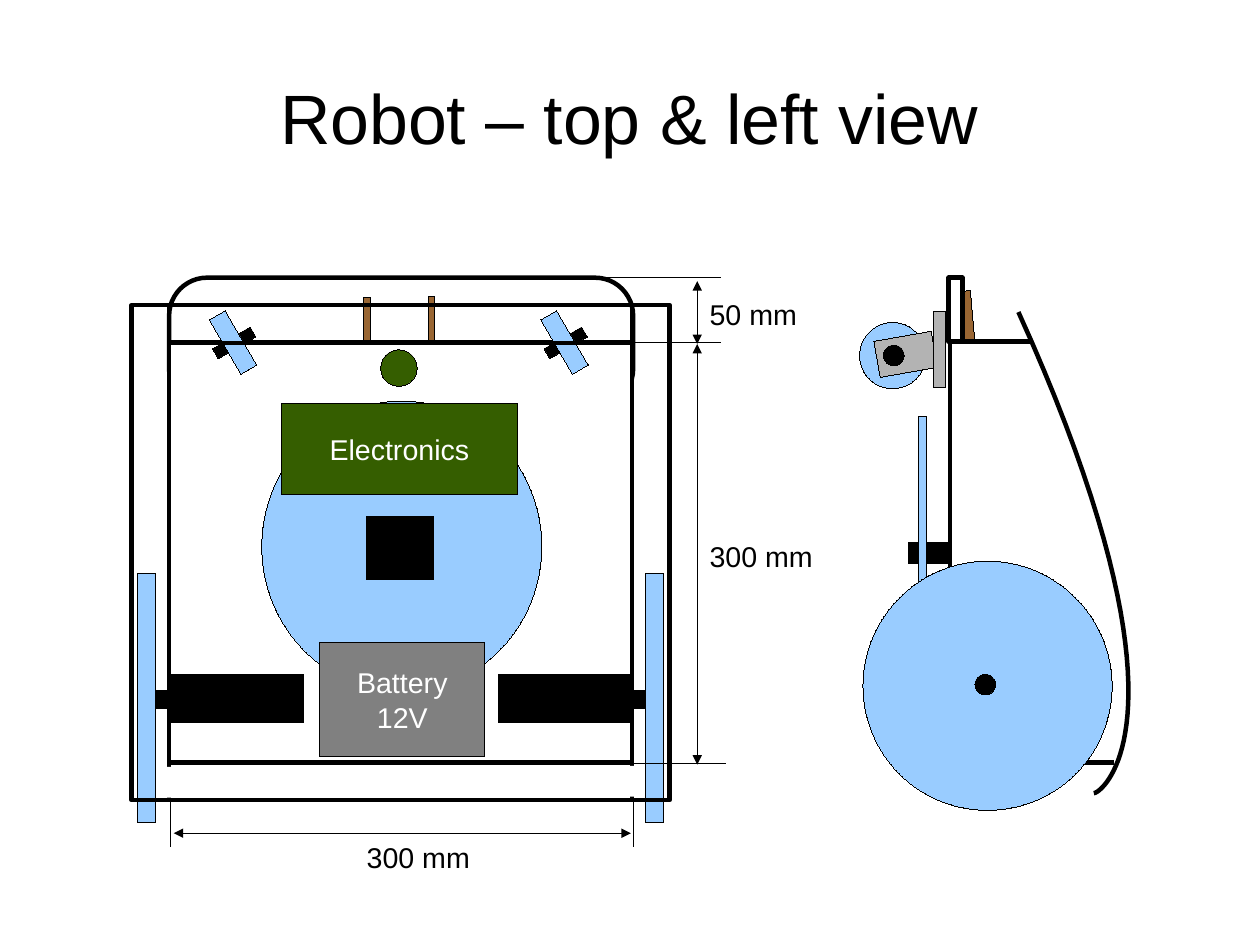
from dataclasses import dataclass
from lxml import etree
from pptx import Presentation
from pptx.dml.color import RGBColor
from pptx.enum.shapes import MSO_CONNECTOR, MSO_SHAPE
from pptx.enum.text import MSO_ANCHOR, MSO_AUTO_SIZE, PP_ALIGN
from pptx.oxml.ns import qn
from pptx.util import Inches, Pt

RECT, OVAL, ROUND = MSO_SHAPE.RECTANGLE, MSO_SHAPE.OVAL, MSO_SHAPE.ROUNDED_RECTANGLE
STRAIGHT = MSO_CONNECTOR.STRAIGHT
MIDDLE, TOP = MSO_ANCHOR.MIDDLE, MSO_ANCHOR.TOP
CENTER, LEFT = PP_ALIGN.CENTER, PP_ALIGN.LEFT
FIT = MSO_AUTO_SIZE.SHAPE_TO_FIT_TEXT


@dataclass(frozen=True)
class Theme:
    black: str = "000000"
    white: str = "FFFFFF"
    blue: str = "99CCFF"
    green: str = "355E00"
    brown: str = "996633"
    gray: str = "808080"
    silver: str = "B3B3B3"
    font: str = "Arial"
    title: float = 44
    label: float = 18
    thin: float = 0.01
    thick: float = 2.83


theme = Theme()
prs = Presentation()
prs.slide_width, prs.slide_height = Inches(28 / 2.54), Inches(21 / 2.54)
s = prs.slides.add_slide(prs.slide_layouts[6])


def add_part(kind, x, y, w, h, fill, width=theme.thin, rot=0):
    sp = s.shapes.add_shape(kind, Inches(x), Inches(y), Inches(w), Inches(h))
    sp.shadow.inherit = False
    sp.rotation = rot
    if fill:
        sp.fill.solid()
        sp.fill.fore_color.rgb = RGBColor.from_string(fill)
    else:
        sp.fill.background()
    if width is None:
        sp.line.fill.background()
    else:
        sp.line.color.rgb = RGBColor.from_string(theme.black)
        sp.line.width = Pt(width)
    return sp


def add_line(x1, y1, x2, y2, width=theme.thin, arrows=False):
    line = s.shapes.add_connector(STRAIGHT, Inches(x1), Inches(y1), Inches(x2), Inches(y2))
    line.line.color.rgb = RGBColor.from_string(theme.black)
    line.line.width = Pt(width)
    if arrows:
        for tag in ("a:headEnd", "a:tailEnd"):
            etree.SubElement(line.line._get_or_add_ln(), qn(tag), type="triangle")
    etree.SubElement(line._element.spPr, qn("a:effectLst"))


left, right, top, bottom = 1.48, 5.53, 2.99, 6.67
plate_w, plate_h = right - left, bottom - top

add_line(8.31, top, 8.31, 5.71, theme.thick)
add_line(9.75, bottom, 8.63, bottom, theme.thick)
bumper = add_part(ROUND, left, 2.43, 4.06, 1.13, theme.white, theme.thick)
bumper.adjustments[0] = 0.294
add_part(RECT, 3.18, 2.6, 0.06, 0.4, theme.brown)
add_part(RECT, 3.75, 2.59, 0.05, 0.41, theme.brown)
add_part(RECT, left, top, plate_w, plate_h, theme.white, theme.thick)

title = s.shapes.add_textbox(Inches(0.55), Inches(0.33), Inches(9.92), Inches(1.38))
tf = title.text_frame
tf.margin_left = tf.margin_right = tf.margin_top = tf.margin_bottom = 0

add_part(RECT, 7.95, 4.75, 0.36, 0.18, theme.black)
add_part(RECT, 8.04, 3.64, 0.07, 2.39, theme.blue)
add_part(OVAL, 7.52, 2.82, 0.58, 0.58, theme.blue)
add_part(RECT, 8.33, 2.55, 0.18, 0.44, theme.brown, rot=355)

add_part(RECT, 1.25, 6.04, 0.48, 0.16, theme.black)
add_part(RECT, 5.44, 6.04, 0.27, 0.16, theme.black)
add_part(OVAL, 2.29, 3.51, 2.45, 2.54, theme.blue)
for motor_x in (left, 4.36):
    add_part(RECT, motor_x, 5.9, 1.18, 0.42, theme.black)
battery = add_part(RECT, 2.8, 5.62, 1.44, 1, theme.gray)
add_part(RECT, 3.21, 4.52, 0.58, 0.55, theme.black)
add_part(OVAL, 3.33, 3.06, 0.32, 0.32, theme.green)
electronics = add_part(RECT, 2.46, 3.53, 2.07, 0.8, theme.green)
for wheel_x in (1.2, 5.65):
    add_part(RECT, wheel_x, 5.02, 0.16, 2.18, theme.blue)

for x1, y1, x2, y2 in ((6.1, 3.01, 6.1, 6.69), (1.52, 7.29, 5.52, 7.29), (6.1, 2.46, 6.1, 3.01)):
    add_line(x1, y1, x2, y2, arrows=True)
for x1, x2, y in ((5.54, 6.3, 3), (5.54, 6.35, 6.68), (4.98, 6.3, 2.43)):
    add_line(x1, y, x2, y)
for x in (1.49, 5.54):
    add_line(x, 7.41, x, 6.69)

add_part(RECT, 8.3, 2.43, 0.12, 0.56, theme.white, theme.thick)
add_part(OVAL, 7.55, 4.91, 2.18, 2.18, theme.blue)
add_part(OVAL, 8.53, 5.9, 0.18, 0.18, theme.black)
add_part(RECT, 7.67, 2.94, 0.51, 0.32, theme.silver, rot=350)
add_part(OVAL, 7.73, 3.02, 0.18, 0.18, theme.black)
add_part(RECT, 8.17, 2.73, 0.1, 0.66, theme.silver)
for roller_x in (4.76, 1.86):
    add_part(RECT, roller_x, 2.95, 0.38, 0.1, theme.black, rot=330)
    add_part(RECT, roller_x + 0.1, 2.72, 0.16, 0.55, theme.blue, rot=329.8)

curve = ((8.91, 2.73), (10.52, 6.28), (9.64, 6.94), (9.57, 6.94))
steps = 40
points = []
for i in range(steps + 1):
    t = i / steps
    weights = ((1 - t) ** 3, 3 * t * (1 - t) ** 2, 3 * t ** 2 * (1 - t), t ** 3)
    points.append([Inches(sum(k * p[axis] for k, p in zip(weights, curve))) for axis in (0, 1)])
builder = s.shapes.build_freeform(*points[0])
builder.add_line_segments(points[1:], close=False)
shell = builder.convert_to_shape()
shell.shadow.inherit = False
shell.fill.background()
shell.line.color.rgb = RGBColor.from_string(theme.black)
shell.line.width = Pt(theme.thick)
add_line(9.02, top, 8.32, top, theme.thick)

frame_top, frame_h, rail = 2.67, 4.33, 0.33
for rail_x in (right, left - rail):
    add_part(RECT, rail_x, frame_top, rail, frame_h, None, theme.thick)
for rail_y in (bottom, frame_top):
    add_part(RECT, left, rail_y, plate_w, rail, None, theme.thick)
for x, y in ((1.37, 6.71), (5.31, 6.7)):
    add_part(RECT, x, y, 0.26, 0.27, theme.white, None)

texts = [
    (title, "Robot – top & left view", theme.title, theme.black, CENTER, MIDDLE, True),
    (battery, "Battery 12V", theme.label, theme.white, CENTER, MIDDLE, True),
    (electronics, "Electronics", theme.label, theme.white, CENTER, MIDDLE, True),
]
for text, x, y in (("300 mm", 3.11, 7.3), ("300 mm", 6.11, 4.67), ("50 mm", 6.11, 2.55)):
    box = s.shapes.add_textbox(Inches(x), Inches(y), Inches(1.1), Inches(0.38))
    box.text_frame.auto_size = FIT
    texts.append((box, text, theme.label, theme.black, LEFT, TOP, False))

for sp, text, size, color, align, anchor, wrap in texts:
    tf = sp.text_frame
    tf.text = text
    tf.word_wrap = wrap
    tf.vertical_anchor = anchor
    p = tf.paragraphs[0]
    p.alignment = align
    r = p.runs[0]
    r.font.name = theme.font
    r.font.size = Pt(size)
    r.font.color.rgb = RGBColor.from_string(color)

prs.save("out.pptx")
